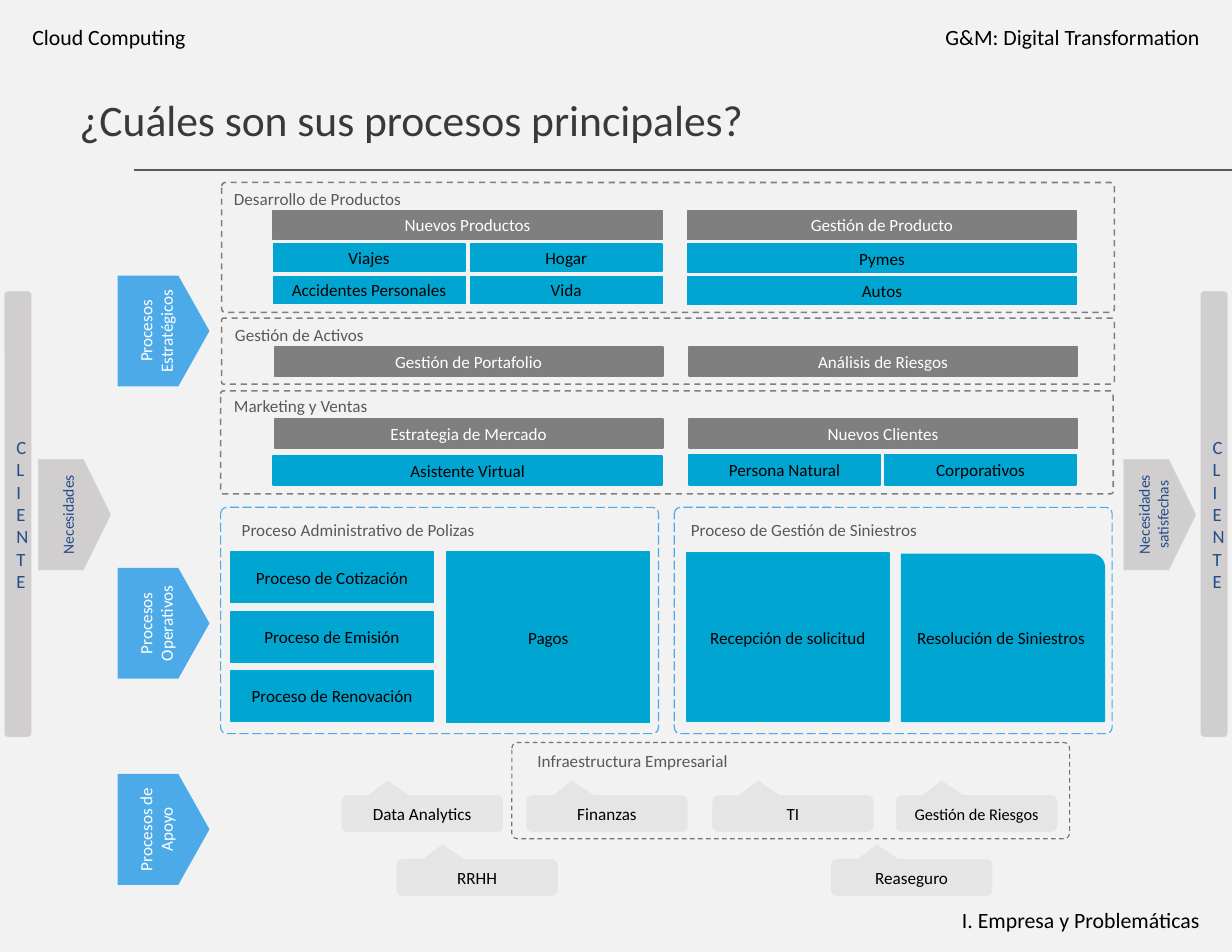
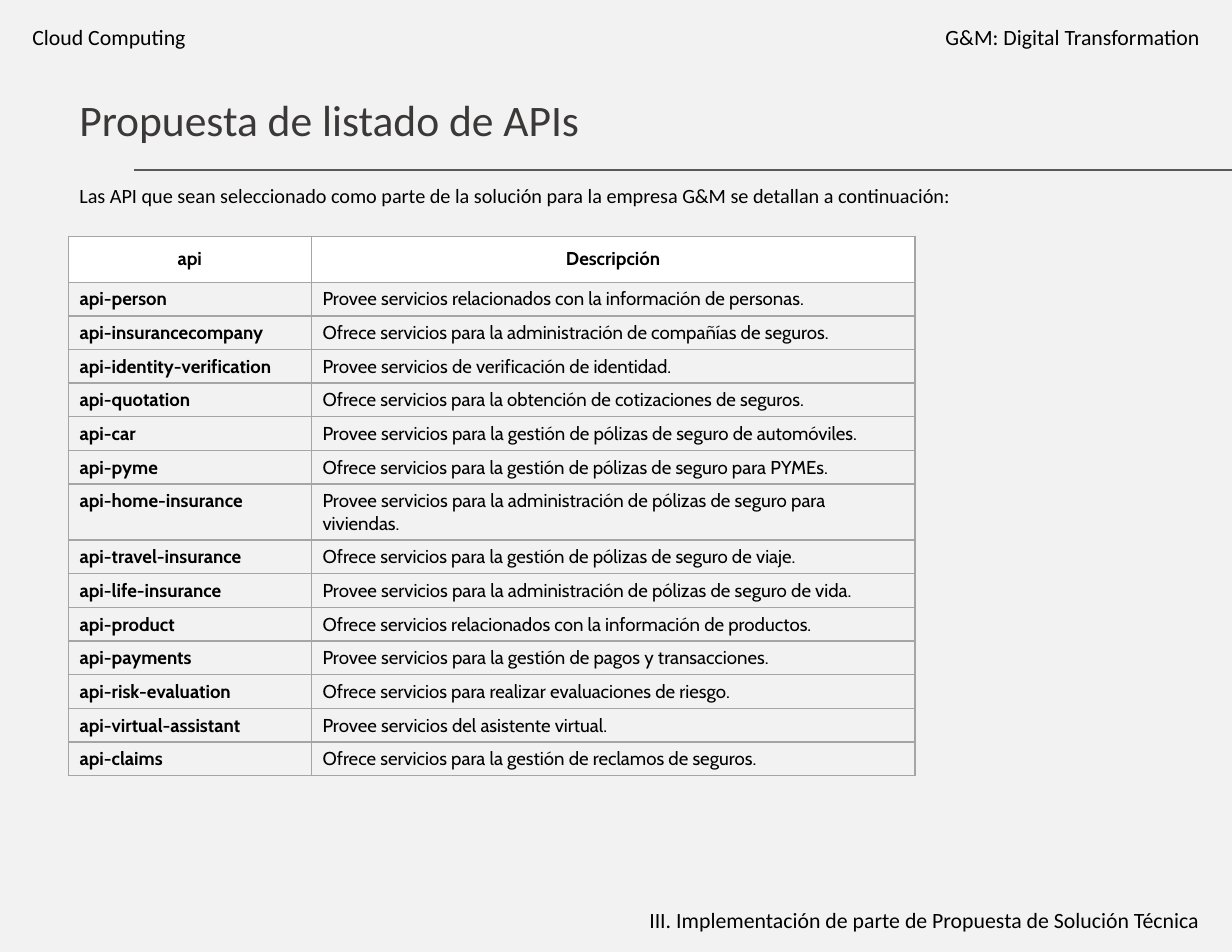
from dataclasses import dataclass, replace
from typing import Any, NamedTuple

from lxml.etree import SubElement
from pptx import Presentation
from pptx.dml.color import RGBColor
from pptx.enum.dml import MSO_LINE as Dash
from pptx.enum.shapes import MSO_CONNECTOR as Link, MSO_SHAPE as Geo
from pptx.enum.text import MSO_ANCHOR as Anchor, MSO_AUTO_SIZE as Auto, PP_ALIGN as Align
from pptx.oxml.ns import qn
from pptx.util import Inches, Pt

PAPER, WHITE, BLACK, INK = "F2F2F2", "FFFFFF", "000000", "3B3838"
GRAY, TEXT, NAVY = "7F7F7F", "595959", "234E8A"
BLUE, CYAN, EDGE = "4DAAE9", "00A6D1", "01AAD3"
STONE, PALE, SLATE, RULE = "D0CECE", "E5E5E5", "767171", "A5A5A5"


@dataclass(frozen=True)
class Look:
    """Style of one family of shapes."""

    geo: Any
    fill: str = ""
    line: str = ""
    width: float = 1
    dash: Any = None
    adj: tuple[float, ...] = ()
    vert: str = ""
    ink: str = BLACK
    size: float = 11


class Node(NamedTuple):
    """Shape with its style, wording and place in inches."""

    look: Look
    text: str
    x: float
    y: float
    w: float
    h: float


class Label(NamedTuple):
    """Text box with its wording, place, size and colour."""

    text: str
    x: float
    y: float
    w: float
    h: float = 0.29
    size: float = 11
    ink: str = TEXT
    align: Any = Align.LEFT
    anchor: Any = Anchor.TOP


HEAD = Look(Geo.RECTANGLE, GRAY, GRAY, ink=WHITE)
TILE = Look(Geo.RECTANGLE, CYAN, CYAN)
STEP = replace(TILE, line=EDGE)
CURVE = replace(STEP, geo=Geo.ROUND_1_RECTANGLE, adj=(0.076,))
PHASE = Look(Geo.PENTAGON, BLUE, adj=(0.339,), vert="vert270", ink=WHITE)
NEED = Look(Geo.PENTAGON, STONE, PALE, 0.25, None, (0.374,), "vert270", NAVY, 10)
CLIENT = replace(NEED, geo=Geo.ROUNDED_RECTANGLE, adj=(0.134,), vert="wordArtVert", size=12)
CALL = Look(Geo.ROUNDED_RECTANGULAR_CALLOUT, PALE, adj=(-0.216, -0.895, 0.167))
BAND = Look(Geo.ROUNDED_RECTANGLE, "", GRAY, 1, Dash.DASH, (0.027,))
ZONE = replace(BAND, line=BLUE, width=0.75, dash=Dash.LONG_DASH)
INFRA = replace(BAND, line=SLATE, width=0.75, adj=(0.058,))

LEFT, RIGHT, WIDE, HALF, NEXT = 2.44, 6.14, 3.47, 1.71, 1.76

NODES = [
    *(Node(CLIENT, "CLIENTE", x, 2.6, 0.24, 3.98) for x in (0.04, 10.72)),
    Node(NEED, "Necesidades", 0.34, 4.1, 0.65, 0.99),
    Node(NEED, "Necesidades satisfechas", 10.03, 4.1, 0.65, 0.99),
    *(Node(PHASE, f"Procesos {name}", 1.05, y, 0.82, 0.99)
      for name, y in (("Estratégicos", 2.46), ("Operativos", 5.07), ("de Apoyo", 6.91))),
    *(Node(CALL, name, x, y, 1.44, 0.33) for name, x, y in (
        ("Data Analytics", 3.05, 7.1), ("Finanzas", 4.7, 7.1), ("TI", 6.36, 7.1),
        ("Reaseguro", 7.42, 7.67), ("RRHH", 3.54, 7.67))),
    Node(replace(CALL, size=10.5), "Gestión de Riesgos", 8, 7.1, 1.44, 0.33),
    Node(INFRA, "", 4.57, 6.63, 4.98, 0.86),
    *(Node(ZONE, "", x, 4.53, 3.91, 2.02) for x in (1.97, 6.02)),
    *(Node(STEP, f"Proceso de {name}", 2.06, 4.93 + 0.53 * row, 1.81, 0.45)
      for row, name in enumerate(("Cotización", "Emisión", "Renovación"))),
    Node(STEP, "Pagos", 3.99, 4.93, 1.81, 1.52),
    Node(STEP, "Recepción de solicitud", 6.13, 4.94, 1.81, 1.5),
    Node(CURVE, "Resolución de Siniestros", 8.05, 4.95, 1.81, 1.49),
    *(Node(BAND, "", x, y, 7.97, h)
      for x, y, h in ((1.98, 1.63, 1.16), (1.98, 2.84, 0.59), (1.97, 3.49, 0.92))),
    *(Node(HEAD, name, x, y, WIDE, 0.26) for y, shift, names in (
        (1.88, 0, ("Nuevos Productos", "Gestión de Producto")),
        (3.1, 0.01, ("Gestión de Portafolio", "Análisis de Riesgos")),
        (3.74, 0.01, ("Estrategia de Mercado", "Nuevos Clientes")),
    ) for x, name in zip((LEFT + shift, RIGHT + shift), names)),
    *(Node(TILE, name, LEFT + NEXT * col, 2.18 + 0.29 * row, HALF, 0.24)
      for row, names in enumerate((("Viajes", "Hogar"), ("Accidentes Personales", "Vida")))
      for col, name in enumerate(names)),
    *(Node(TILE, name, RIGHT, 2.18 + 0.29 * row, WIDE, 0.25)
      for row, name in enumerate(("Pymes", "Autos"))),
    Node(TILE, "Asistente Virtual", LEFT, 4.07, WIDE, 0.26),
    *(Node(TILE, name, x, 4.06, HALF, 0.27)
      for name, x in (("Persona Natural", 6.15), ("Corporativos", 7.9))),
]

LABELS = [
    Label("Desarrollo de Productos", 1.99, 1.63, 2.94),
    Label("Gestión de Activos", 2, 2.85, 2.94),
    Label("Marketing y Ventas", 1.99, 3.48, 2.94),
    Label("Proceso Administrativo de Polizas", 2.06, 4.59, 2.94),
    Label("Proceso de Gestión de Siniestros", 6.07, 4.59, 3.36),
    Label("Infraestructura Empresarial", 4.7, 6.65, 2.19),
]

APIS = [
    ("api", "Descripción"),
    ("api-person", "Provee servicios relacionados con la información de personas."),
    ("api-insurancecompany", "Ofrece servicios para la administración de compañías de seguros."),
    ("api-identity-verification", "Provee servicios de verificación de identidad."),
    ("api-quotation", "Ofrece servicios para la obtención de cotizaciones de seguros."),
    ("api-car", "Provee servicios para la gestión de pólizas de seguro de automóviles."),
    ("api-pyme", "Ofrece servicios para la gestión de pólizas de seguro para PYMEs."),
    ("api-home-insurance",
     "Provee servicios para la administración de pólizas de seguro para viviendas."),
    ("api-travel-insurance", "Ofrece servicios para la gestión de pólizas de seguro de viaje."),
    ("api-life-insurance",
     "Provee servicios para la administración de pólizas de seguro de vida."),
    ("api-product", "Ofrece servicios relacionados con la información de productos."),
    ("api-payments", "Provee servicios para la gestión de pagos y transacciones."),
    ("api-risk-evaluation", "Ofrece servicios para realizar evaluaciones de riesgo."),
    ("api-virtual-assistant", "Provee servicios del asistente virtual."),
    ("api-claims", "Ofrece servicios para la gestión de reclamos de seguros."),
]


def apply(item: Any, values: dict[str, Any]) -> None:
    """Set each named attribute of an item."""
    for name, value in values.items():
        setattr(item, name, value)


def paint(part: Any, color: str) -> None:
    """Give a fill a solid colour, or none for an empty string."""
    if color:
        part.solid()
        part.fore_color.rgb = RGBColor.from_string(color)
    else:
        part.background()


def write(frame: Any, text: str, size: float, ink: str, align: Any,
          face: str = "Calibri", bold: bool = False) -> None:
    """Write one formatted paragraph."""
    para = frame.paragraphs[0]
    para.alignment = align
    run = para.add_run()
    run.text = text
    apply(run.font, {"name": face, "size": Pt(size), "bold": bold})
    run.font.color.rgb = RGBColor.from_string(ink)


def draw(slide: Any, node: Node) -> None:
    """Draw a shape with its text."""
    look = node.look
    shape = slide.shapes.add_shape(look.geo, *map(Inches, node[2:]))
    shape.shadow.inherit = False
    for index, value in enumerate(look.adj):
        shape.adjustments[index] = value
    paint(shape.fill, look.fill)
    paint(shape.line.fill, look.line)
    if look.line:
        apply(shape.line, {"width": Pt(look.width), "dash_style": look.dash})
    if node.text:
        frame = shape.text_frame
        apply(frame, {"word_wrap": True, "vertical_anchor": Anchor.MIDDLE})
        if look.vert:
            frame._txBody.bodyPr.set("vert", look.vert)
        write(frame, node.text, look.size, look.ink, Align.CENTER)


def label(slide: Any, item: Label) -> None:
    """Add a text box."""
    frame = slide.shapes.add_textbox(*map(Inches, item[1:5])).text_frame
    apply(frame, {"word_wrap": True, "auto_size": Auto.SHAPE_TO_FIT_TEXT,
                  "vertical_anchor": item.anchor})
    write(frame, item.text, item.size, item.ink, item.align)


def start(deck: Any, title: str, foot: str) -> Any:
    """Add a slide with title, rule, headers and footer."""
    slide = deck.slides.add_slide(deck.slide_layouts[6])
    paint(slide.background.fill, PAPER)
    for item in (
        Label(title, 0.61, 0.78, 7.02, 0.57, 28, INK, anchor=Anchor.MIDDLE),
        Label("Cloud Computing", 0.19, 0.16, 2.97, 0.34, 14, BLACK),
        Label("G&M: Digital Transformation", 7.84, 0.16, 2.97, 0.34, 14, BLACK, Align.RIGHT),
        Label(foot, 3.33, 8.05, 7.48, 0.34, 14, BLACK, Align.RIGHT),
    ):
        label(slide, item)
    rule = slide.shapes.add_connector(Link.STRAIGHT, *map(Inches, (1.2, 1.52, 11, 1.52)))
    paint(rule.line.fill, TEXT)
    rule.line.width = Pt(1.5)
    SubElement(rule._element.spPr, qn("a:effectLst"))
    return slide


def border(cell: Any) -> None:
    """Rule all four sides of a cell."""
    props = cell._tc.get_or_add_tcPr()
    for side in ("lnL", "lnR", "lnT", "lnB"):
        line = SubElement(props, qn(f"a:{side}"), w=str(Pt(1)))
        fill = SubElement(line, qn("a:solidFill"))
        SubElement(fill, qn("a:srgbClr"), val=RULE)


def grid(slide: Any) -> None:
    """Draw the table of services."""
    shape = slide.shapes.add_table(len(APIS), 2, *map(Inches, (0.61, 2.11, 7.56, 4.81)))
    table = shape.table
    apply(table, {"first_row": False, "horz_banding": False})
    for col, width in zip(table.columns, (2.17, 5.39)):
        col.width = Inches(width)
    for row, (line, texts) in enumerate(zip(table.rows, APIS)):
        top = row == 0
        tall = texts[0] == "api-home-insurance"
        line.height = Inches(0.41 if top else 0.5 if tall else 0.3)
        for col, (cell, text) in enumerate(zip(line.cells, texts)):
            border(cell)
            paint(cell.fill, WHITE if top else "")
            cell.vertical_anchor = Anchor.MIDDLE if top else Anchor.TOP
            write(cell.text_frame, text, 12, BLACK, Align.CENTER if top else Align.LEFT,
                  "Cabin", top or col == 0)


def main() -> None:
    """Build and save the deck."""
    deck = Presentation()
    apply(deck, {"slide_width": Inches(11), "slide_height": Inches(8.5)})
    slide = start(deck, "¿Cuáles son sus procesos principales?", "I. Empresa y Problemáticas")
    for node in NODES:
        draw(slide, node)
    for item in LABELS:
        label(slide, item)
    slide = start(deck, "Propuesta de listado de APIs",
                  "III. Implementación de parte de Propuesta de Solución Técnica")
    label(slide, Label("Las API que sean seleccionado como parte de la solución para la empresa "
                       "G&M se detallan a continuación:", 0.61, 1.59, 10.2, 0.32, 13, BLACK))
    grid(slide)
    deck.save("out.pptx")


if __name__ == "__main__":
    main()
